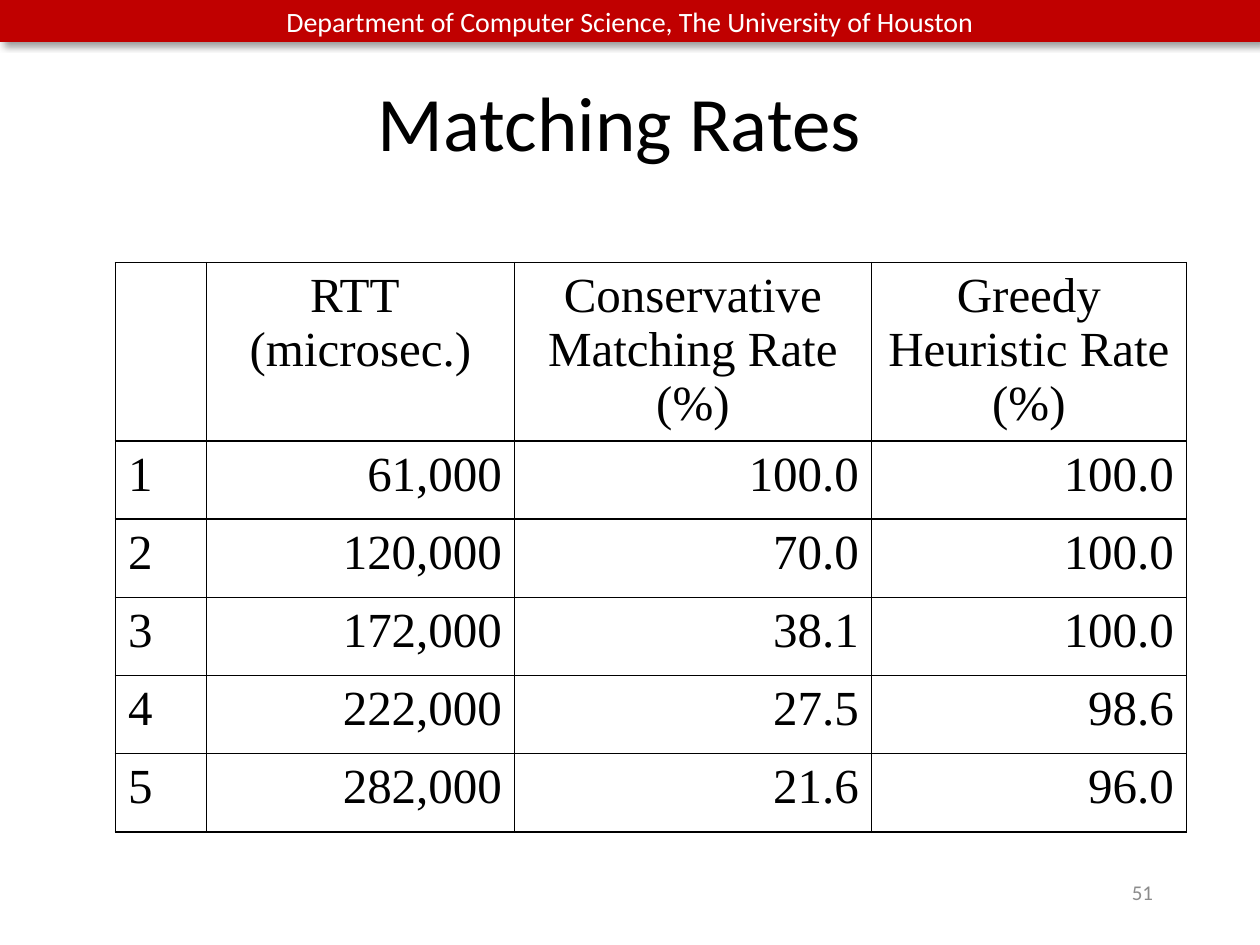
"""Build the slide of matching rates with its banner, table and page number."""
import pptx
import pptx.dml.color
import pptx.enum.shapes
import pptx.enum.text
import pptx.oxml
import pptx.oxml.ns
import pptx.util

Pt = pptx.util.Pt
ALIGN = pptx.enum.text.PP_ALIGN
MIDDLE = pptx.enum.text.MSO_ANCHOR.MIDDLE
COLORS = {"red": "C00000", "white": "FFFFFF", "black": "000000", "gray": "8C8C8C"}
SANS, SERIF = "Calibri", "Times New Roman"
HEADS = ["", "RTT \v(microsec.)", "Conservative Matching Rate (%)",
         "Greedy Heuristic Rate (%)"]
RATES = [
    ["1", "61,000", "100.0", "100.0"],
    ["2", "120,000", "70.0", "100.0"],
    ["3", "172,000", "38.1", "100.0"],
    ["4", "222,000", "27.5", "98.6"],
    ["5", "282,000", "21.6", "96.0"],
]
WIDTHS = [52, 176, 204, 180]
HEAD_HIGH, ROW_HIGH = 102, 44.7


def get_color(name):
    """Return the named colour."""
    return pptx.dml.color.RGBColor.from_string(COLORS[name])


def set_text(frame, text, size, font, color, align):
    """Fill a text frame with one styled paragraph."""
    para = frame.paragraphs[0]
    para.text = text
    para.alignment = align
    for run in para.runs:
        run.font.size = Pt(size)
        run.font.name = font
        run.font.color.rgb = get_color(color)


def add_shadow(shape):
    """Give a shape a soft shadow down and to the right."""
    shape.shadow.inherit = False
    effects = shape._element.spPr.find(pptx.oxml.ns.qn("a:effectLst"))
    effects.append(pptx.oxml.parse_xml(
        f'<a:outerShdw {pptx.oxml.ns.nsdecls("a")} blurRad="{Pt(4)}" '
        f'dist="{Pt(3)}" dir="2700000" algn="tl" rotWithShape="0">'
        f'<a:srgbClr val="{COLORS["black"]}"><a:alpha val="40000"/></a:srgbClr>'
        '</a:outerShdw>'))


def add_banner(slide, text):
    """Add the red band along the top."""
    band = slide.shapes.add_shape(
        pptx.enum.shapes.MSO_SHAPE.RECTANGLE, 0, 0, Pt(720), Pt(24))
    band.fill.solid()
    band.fill.fore_color.rgb = get_color("red")
    band.line.fill.background()
    add_shadow(band)
    band.text_frame.vertical_anchor = MIDDLE
    set_text(band.text_frame, text, 16, SANS, "white", ALIGN.CENTER)


def set_title(slide, text):
    """Place and fill the title."""
    title = slide.shapes.title
    title.left, title.top = Pt(48), Pt(24)
    title.width, title.height = Pt(612), Pt(90)
    title.text_frame.vertical_anchor = MIDDLE
    set_text(title.text_frame, text, 44, SANS, "black", ALIGN.CENTER)


def add_border(cell):
    """Draw a thin line on all four sides of a cell."""
    props = cell._tc.get_or_add_tcPr()
    for place, side in enumerate(("lnL", "lnR", "lnT", "lnB")):
        props.insert(place, pptx.oxml.parse_xml(
            f'<a:{side} {pptx.oxml.ns.nsdecls("a")} w="{Pt(1)}"><a:solidFill>'
            f'<a:srgbClr val="{COLORS["black"]}"/></a:solidFill></a:{side}>'))


def get_align(row, col):
    """Return the alignment that suits a place in the table."""
    if row == 0:
        return ALIGN.CENTER
    return ALIGN.JUSTIFY if col == 0 else ALIGN.RIGHT


def add_rates(slide, rows):
    """Add the table of rates."""
    high = HEAD_HIGH + ROW_HIGH * (len(rows) - 1)
    table = slide.shapes.add_table(
        len(rows), len(WIDTHS), Pt(66), Pt(150), Pt(sum(WIDTHS)), Pt(high)).table
    table.first_row = table.horz_banding = False
    for col, width in enumerate(WIDTHS):
        table.columns[col].width = Pt(width)
    for row, texts in enumerate(rows):
        table.rows[row].height = Pt(ROW_HIGH if row else HEAD_HIGH)
        for col, text in enumerate(texts):
            cell = table.cell(row, col)
            cell.fill.background()
            add_border(cell)
            set_text(cell.text_frame, text, 28, SERIF, "black", get_align(row, col))


def add_number(slide, text):
    """Add the page number at the lower right."""
    box = slide.shapes.add_textbox(Pt(516), Pt(492), Pt(150), Pt(36))
    box.text_frame.word_wrap = True
    box.text_frame.vertical_anchor = MIDDLE
    set_text(box.text_frame, text, 12, SANS, "gray", ALIGN.RIGHT)


def main():
    """Build and save the slide."""
    deck = pptx.Presentation()
    deck.slide_width, deck.slide_height = Pt(720), Pt(540)
    slide = deck.slides.add_slide(deck.slide_layouts.get_by_name("Title Only"))
    add_banner(slide, "Department of Computer Science, The University of Houston")
    set_title(slide, "Matching Rates")
    add_rates(slide, [HEADS] + RATES)
    add_number(slide, "51")
    deck.save("out.pptx")


if __name__ == "__main__":
    main()
